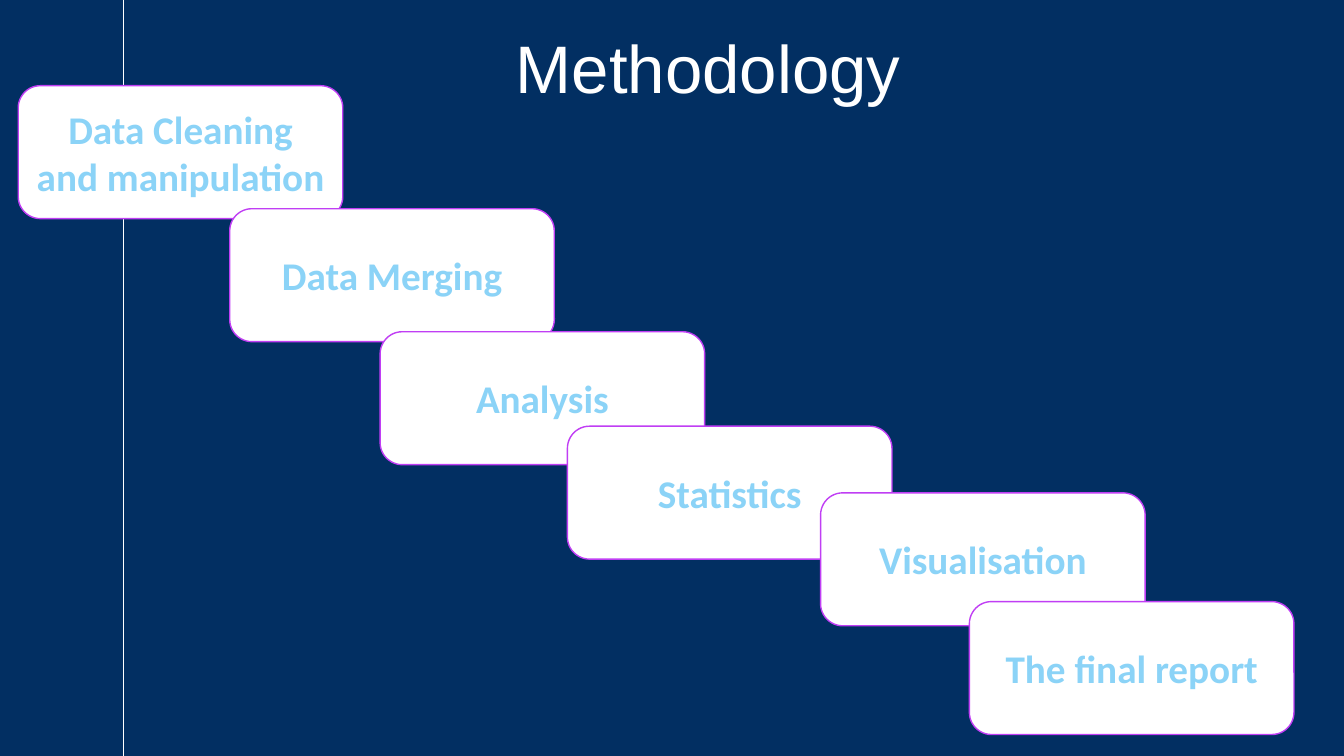
from pptx import Presentation
from pptx.dml.color import RGBColor
from pptx.enum.shapes import MSO_CONNECTOR, MSO_SHAPE
from pptx.enum.text import MSO_ANCHOR, PP_ALIGN
from pptx.oxml.ns import qn
from pptx.util import Cm, Pt
from lxml.etree import SubElement

COLORS = {
    "navy": "022F62",
    "white": "FFFFFF",
    "violet": "C03EF4",
    "sky": "8BD3F7",
}

STEP_WIDTH, STEP_HEIGHT = 8.18, 3.35
STEPS = [
    (0.46, 2.16, ["Data Cleaning", "and manipulation"]),
    (5.79, 5.26, ["Data Merging"]),
    (9.58, 8.36, ["Analysis"]),
    (14.3, 10.74, ["Statistics"]),
    (20.68, 12.42, ["Visualisation"]),
    (24.43, 15.16, ["The final report"]),
]


def rgb(name):
    return RGBColor.from_string(COLORS[name])


def write(p, text, font="Calibri", size=28, color="sky", bold=False, align=PP_ALIGN.LEFT):
    p.alignment = align
    r = p.add_run()
    r.text = text
    r.font.name = font
    r.font.size = Pt(size)
    r.font.bold = bold
    r.font.color.rgb = rgb(color)


class Deck:
    def __init__(self, width, height):
        self.prs = Presentation()
        self.prs.slide_width, self.prs.slide_height = Cm(width), Cm(height)
        self.height = height

    def slide(self, background):
        self.s = self.prs.slides.add_slide(self.prs.slide_layouts[5])
        fill = self.s.background.fill
        fill.solid()
        fill.fore_color.rgb = rgb(background)

    def title(self, text, x, y, w, h, indent):
        sp = self.s.shapes.title
        sp.left, sp.top, sp.width, sp.height = Cm(x), Cm(y), Cm(w), Cm(h)
        tf = sp.text_frame
        tf.word_wrap = True
        tf.vertical_anchor = MSO_ANCHOR.TOP
        tf.margin_left = Cm(indent)
        write(tf.paragraphs[0], text, font="Arial", size=48, color="white")

    def vertical_line(self, x):
        line = self.s.shapes.add_connector(
            MSO_CONNECTOR.STRAIGHT, Cm(x), Cm(0), Cm(x), Cm(self.height))
        line.line.color.rgb = rgb("white")
        line.line.width = Pt(1)
        SubElement(line._element.spPr, qn("a:effectLst"))

    def step(self, x, y, lines):
        sp = self.s.shapes.add_shape(
            MSO_SHAPE.ROUNDED_RECTANGLE, Cm(x), Cm(y), Cm(STEP_WIDTH), Cm(STEP_HEIGHT))
        sp.shadow.inherit = False
        sp.fill.solid()
        sp.fill.fore_color.rgb = rgb("white")
        sp.line.color.rgb = rgb("violet")
        sp.line.width = Pt(1)
        tf = sp.text_frame
        tf.word_wrap = True
        tf.vertical_anchor = MSO_ANCHOR.MIDDLE
        for i, text in enumerate(lines):
            p = tf.add_paragraph() if i else tf.paragraphs[0]
            write(p, text, bold=True, align=PP_ALIGN.CENTER)


def main():
    deck = Deck(33.87, 19.05)
    deck.slide("navy")
    deck.vertical_line(3.12)
    deck.title("Methodology", 9.22, 0.53, 15.21, 2.31, indent=3.78)
    for x, y, lines in STEPS:
        deck.step(x, y, lines)
    deck.prs.save("out.pptx")


if __name__ == "__main__":
    main()
